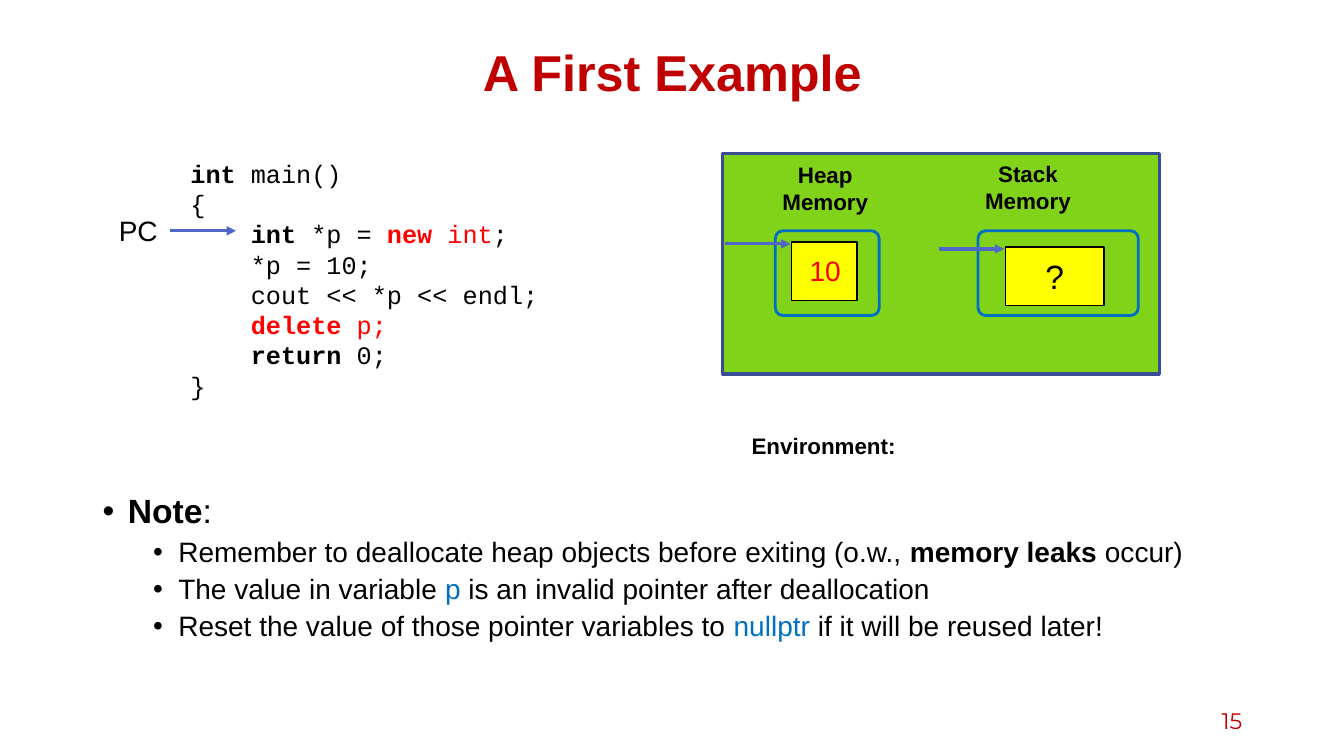
from pptx import Presentation
from pptx.dml.color import RGBColor
from pptx.enum.shapes import MSO_CONNECTOR, MSO_SHAPE
from pptx.enum.text import MSO_ANCHOR, PP_ALIGN
from pptx.oxml.ns import qn
from pptx.util import Inches, Pt
from lxml.etree import SubElement

LEFT, CENTER, RIGHT = PP_ALIGN.LEFT, PP_ALIGN.CENTER, PP_ALIGN.RIGHT
TOP, MIDDLE = MSO_ANCHOR.TOP, MSO_ANCHOR.MIDDLE
rgb = RGBColor.from_string


def write(s, lines, size, font="Arial", align=LEFT, anchor=TOP, wrap=True):
    """Each line is a list of (text, bold, colour) runs."""
    tf = s.text_frame
    tf.word_wrap = wrap
    tf.vertical_anchor = anchor
    for i, line in enumerate(lines):
        p = tf.paragraphs[0] if i == 0 else tf.add_paragraph()
        p.alignment = align
        for text, bold, color in line:
            r = p.add_run()
            r.text = text
            r.font.name, r.font.size, r.font.bold = font, Pt(size), bold
            r.font.color.rgb = rgb(color)
    return tf


def box(kind, x, y, w, h, fill=None, line=None, width=1):
    s = slide.shapes.add_shape(kind, Inches(x), Inches(y), Inches(w), Inches(h))
    s.shadow.inherit = False
    if fill:
        s.fill.solid()
        s.fill.fore_color.rgb = rgb(fill)
    else:
        s.fill.background()
    if line:
        s.line.color.rgb = rgb(line)
        s.line.width = Pt(width)
    else:
        s.line.fill.background()
    return s


prs = Presentation()
prs.slide_width, prs.slide_height = Inches(13.33), Inches(7.5)
slide = prs.slides.add_slide(prs.slide_layouts[6])

BLACK, RED, BLUE, DARK_RED = "000000", "FF0000", "0070C0", "C00000"
YELLOW, GREEN = "FFFF00", "81D31A"

# Memory areas
box(MSO_SHAPE.RECTANGLE, 7.17, 1.52, 4.33, 2.19, GREEN, "3A4C94", 2.25)
for x, w in [(7.69, 1.03), (9.7, 1.59)]:
    area = box(MSO_SHAPE.ROUNDED_RECTANGLE, x, 2.29, w, 0.84, None, BLUE, 2)
    area.adjustments[0] = 0.09

# Memory cells and their values
box(MSO_SHAPE.RECTANGLE, 7.85, 2.4, 0.65, 0.58, YELLOW, BLACK)
heap_value = box(MSO_SHAPE.RECTANGLE, 7.91, 2.47, 0.55, 0.44, YELLOW)
write(heap_value, [[("10", False, RED)]], 20, align=CENTER, wrap=False)
stack_cell = box(MSO_SHAPE.RECTANGLE, 9.97, 2.45, 0.98, 0.58, YELLOW, BLACK)
write(stack_cell, [[("?", False, BLACK)]], 24, align=CENTER, anchor=MIDDLE)

# Arrows: program counter, heap, stack
for x, y in [(1.69, 2.29), (7.19, 2.42), (9.31, 2.47)]:
    c = slide.shapes.add_connector(
        MSO_CONNECTOR.STRAIGHT, Inches(x), Inches(y), Inches(x + 0.65), Inches(y))
    c.line.color.rgb = rgb("4E67C8")
    c.line.width = Pt(2.25)
    SubElement(c.line._get_or_add_ln(), qn("a:tailEnd"), type="triangle")
    SubElement(c._element.spPr, qn("a:effectLst"))

# Text
code = [
    [("int", True, BLACK), (" main()", False, BLACK)],
    [("{", False, BLACK)],
    [("    ", False, BLACK), ("int", True, BLACK), (" *p = ", False, BLACK),
     ("new", True, RED), (" int", False, RED), (";", False, BLACK)],
    [("    *p = 10;", False, BLACK)],
    [("    cout << *p << endl;", False, BLACK)],
    [("    ", False, RED), ("delete", True, RED), (" p;", False, RED)],
    [("    ", False, BLACK), ("return", True, BLACK), (" 0;", False, BLACK)],
    [("}", False, BLACK)],
]
notes = [
    [("Note", True, BLACK), (":", False, BLACK)],
    [("Remember to deallocate heap objects before exiting (o.w., ", False, BLACK),
     ("memory leaks ", True, BLACK), ("occur)", False, BLACK)],
    [("The value in variable ", False, BLACK), ("p", False, BLUE),
     (" is an invalid pointer after deallocation", False, BLACK)],
    [("Reset the value of those pointer variables to ", False, BLACK),
     ("nullptr", False, BLUE), (" if it will be reused later!", False, BLACK)],
]
heap = [[("Heap", True, BLACK)], [("Memory", True, BLACK)]]
stack = [[("Stack", True, BLACK)], [("Memory", True, BLACK)]]
frames = []
for x, y, w, h, lines, size, font, align, anchor in [
    (0.92, 0.4, 11.5, 0.7, [[("A First Example", True, DARK_RED)]], 36, "Arial", CENTER, MIDDLE),
    (0.92, 4.86, 11.5, 1.95, notes, 20, "Arial", LEFT, TOP),
    (1.79, 1.52, 4.07, 2.52, code, 18, "Courier New", LEFT, TOP),
    (7.44, 1.55, 1.49, 0.64, heap, 16, "Arial", CENTER, TOP),
    (9.45, 1.54, 1.49, 0.64, stack, 16, "Arial", CENTER, TOP),
    (7.2, 4.24, 2, 0.37, [[("Environment: ", True, BLACK)]], 16, "Arial", CENTER, TOP),
    (1.08, 2.07, 0.66, 0.44, [[("PC", False, BLACK)]], 20, "Arial", LEFT, TOP),
    (9.42, 6.95, 3, 0.4, [[("15", False, DARK_RED)]], 16, "Montserrat", RIGHT, MIDDLE),
]:
    s = slide.shapes.add_textbox(Inches(x), Inches(y), Inches(w), Inches(h))
    frames.append(write(s, lines, size, font, align, anchor))

# Title spacing, bullets and indents of the note
title, note = frames[:2]
title.paragraphs[0].line_spacing = 0.9
for i, p in enumerate(note.paragraphs):
    p.level = min(i, 1)
    p.line_spacing = 0.9
    p.space_before = Pt(5 if i else 0)
    pPr = p._p.get_or_add_pPr()
    pPr.set("marL", str(Inches(0.75 if i else 0.25)))
    pPr.set("indent", str(Inches(-0.25)))
    SubElement(pPr, qn("a:buFont"), typeface="Arial")
    SubElement(pPr, qn("a:buChar"), char="•")
for r in note.paragraphs[0].runs:
    r.font.size = Pt(24)

prs.save("out.pptx")
